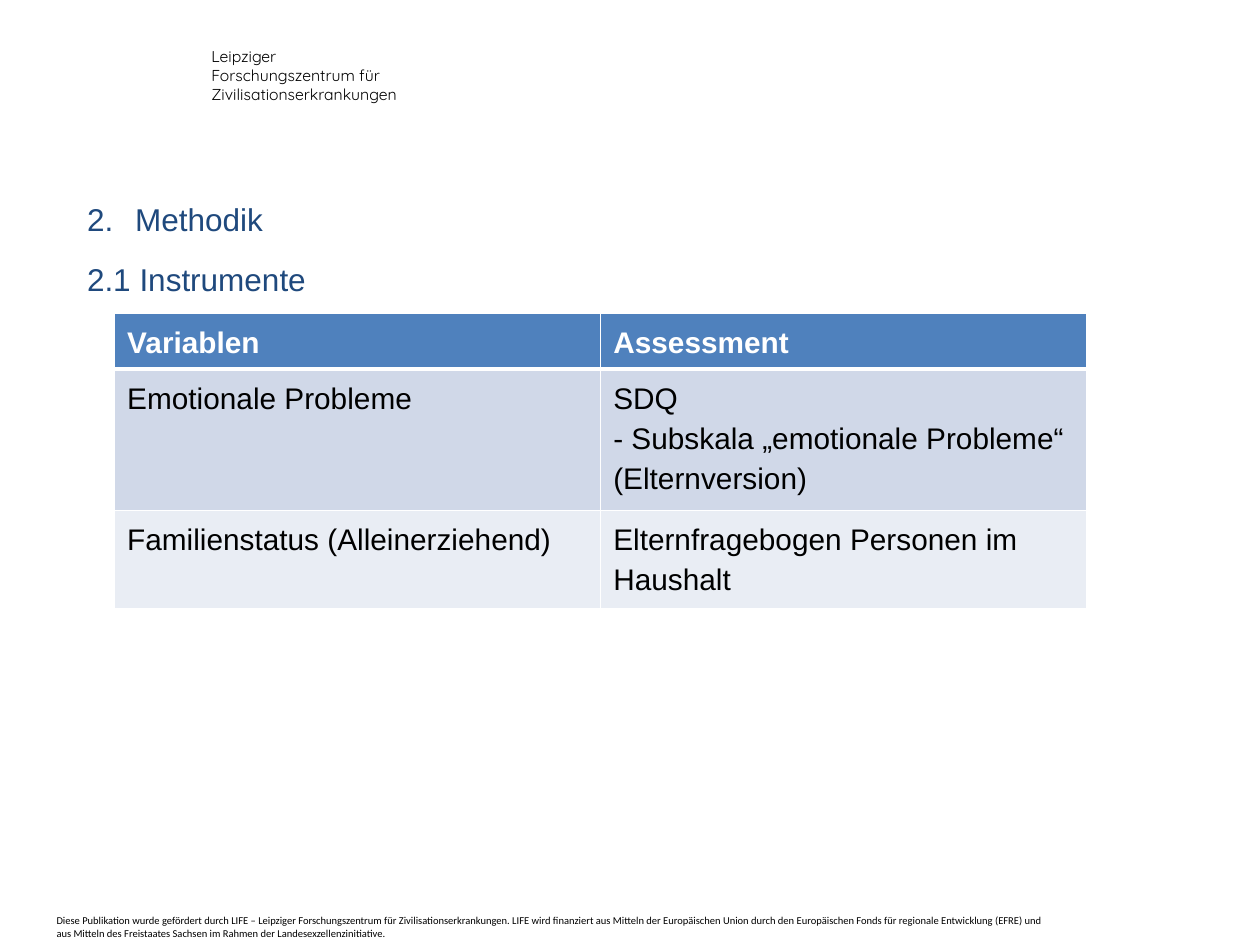
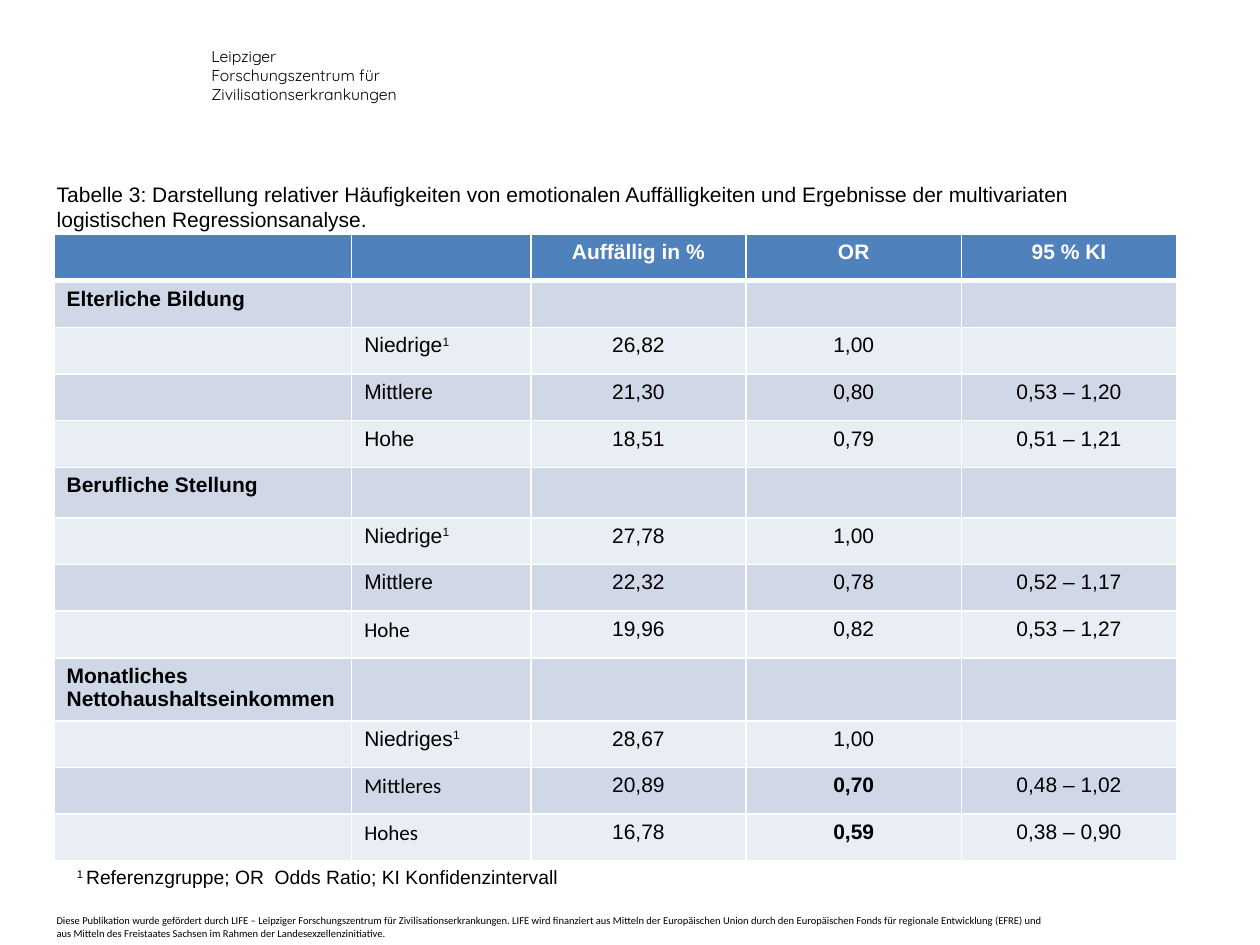
"""Build two slides on the methods and regression results of a family study."""
import copy

import pptx
import pptx.dml.color
import pptx.enum.text
import pptx.oxml
import pptx.oxml.ns
import pptx.util

Cm = pptx.util.Cm
Pt = pptx.util.Pt
RGBColor = pptx.dml.color.RGBColor
PP_ALIGN = pptx.enum.text.PP_ALIGN
qn = pptx.oxml.ns.qn

BLACK = RGBColor(0x00, 0x00, 0x00)
WHITE = RGBColor(0xFF, 0xFF, 0xFF)
NAVY = RGBColor(0x1F, 0x49, 0x7D)
HEADER_BLUE = RGBColor(0x4F, 0x81, 0xBD)
BAND_DARK = RGBColor(0xD0, 0xD8, 0xE8)
BAND_LIGHT = RGBColor(0xE9, 0xED, 0xF4)

INSTITUTE = "Leipziger Forschungszentrum für Zivilisationserkrankungen"
FUNDING = (
    "Diese Publikation wurde gefördert durch LIFE – Leipziger Forschungszentrum für "
    "Zivilisationserkrankungen. LIFE wird finanziert aus Mitteln der Europäischen Union durch den "
    "Europäischen Fonds für regionale Entwicklung (EFRE) und aus Mitteln des Freistaates Sachsen "
    "im Rahmen der Landesexzellenzinitiative."
)
HEADINGS = ["Methodik", "2.1 Instrumente"]
INSTRUMENTS = [
    ("Variablen", "Assessment"),
    ("Emotionale Probleme", "SDQ\v- Subskala „emotionale Probleme“\v(Elternversion)"),
    ("Familienstatus (Alleinerziehend)", "Elternfragebogen Personen im Haushalt"),
]
CAPTION = (
    "Tabelle 3: Darstellung relativer Häufigkeiten von emotionalen Auffälligkeiten und "
    "Ergebnisse der multivariaten logistischen Regressionsanalyse."
)
RESULTS = [
    ("", "", "Auffällig in %", "OR", "95 % KI"),
    ("Elterliche Bildung", "", "", "", ""),
    ("", "Niedrige^1", "26,82", "1,00", ""),
    ("", "Mittlere", "21,30", "0,80", "0,53 – 1,20"),
    ("", "Hohe", "18,51", "0,79", "0,51 – 1,21"),
    ("Berufliche Stellung", "", "", "", ""),
    ("", "Niedrige^1", "27,78", "1,00", ""),
    ("", "Mittlere", "22,32", "0,78", "0,52 – 1,17"),
    ("", "Hohe", "19,96", "0,82", "0,53 – 1,27"),
    ("Monatliches Nettohaushaltseinkommen", "", "", "", ""),
    ("", "Niedriges^1", "28,67", "1,00", ""),
    ("", "Mittleres", "20,89", "0,70", "0,48 – 1,02"),
    ("", "Hohes", "16,78", "0,59", "0,38 – 0,90"),
]
SIGNIFICANT_CELLS = {(11, 3), (12, 3)}
CALIBRI_CELLS = {(8, 1), (11, 1), (12, 1)}
FOOTNOTE = "^1 ^Referenzgruppe; OR  Odds Ratio; KI Konfidenzintervall"

INSTITUTE_BOX = (4.01, 0.81, 4.62, 1.02)
FUNDING_BOX = (0.89, 18.31, 20.4, 0.76)
HEADING_BOX = (1.5, 3.53, 20.4, 7.95)
CAPTION_BOX = (0.89, 3.53, 21.16, 1.27)
FOOTNOTE_BOX = (1.3, 17.32, 10.34, 1.04)
INSTRUMENT_COLUMNS = [9.8, 9.8]
INSTRUMENT_ROWS = [1.09, 2.84, 1.97]
RESULT_COLUMNS = [6, 3.61] + [4.34] * 3
RESULT_ROWS = [{5: 1.02, 9: 1.27}.get(row, 0.94) for row in range(len(RESULTS))]


def text_format(size, color=BLACK, name="Arial", bold=False):
    """Return the font values of a text."""
    return {"size": Pt(size), "name": name, "bold": bold}, color


def write(paragraph, text, style, **layout):
    """Write text into a paragraph; each ^ switches superscript on or off."""
    values, color = style
    for name, value in layout.items():
        setattr(paragraph, name, value)
    if not text:
        end = paragraph._p.get_or_add_endParaRPr()
        end.set("sz", str(int(values["size"].pt * 100)))
        return
    for part_number, part in enumerate(text.split("^")):
        for line_number, line in enumerate(part.split("\v")):
            if line_number:
                paragraph.add_line_break()
                line_break = paragraph._p.findall(qn("a:br"))[-1]
                line_break.append(copy.deepcopy(run._r.rPr))
            if not line:
                continue
            run = paragraph.add_run()
            run.text = line
            for name, value in values.items():
                setattr(run.font, name, value)
            run.font.color.rgb = color
            if part_number % 2:
                run._r.get_or_add_rPr().set("baseline", "30000")


def add_text(slide, box, text, style, wrap=True):
    """Add a text box with one paragraph."""
    frame = slide.shapes.add_textbox(*map(Cm, box)).text_frame
    frame.word_wrap = wrap
    write(frame.paragraphs[0], text, style)


def add_slide(presentation):
    """Add a title-only slide with the institute name and the funding note."""
    slide = presentation.slides.add_slide(presentation.slide_layouts[5])
    add_text(slide, INSTITUTE_BOX, INSTITUTE, text_format(9, name="Quicksand"))
    add_text(slide, FUNDING_BOX, FUNDING, text_format(6, name="Calibri"))
    return slide


def place_title(slide, box):
    """Place the title at the top left of its box and return its text frame."""
    title = slide.shapes.title
    title.left, title.top, title.width, title.height = map(Cm, box)
    frame = title.text_frame
    frame.word_wrap = True
    frame.auto_size = pptx.enum.text.MSO_AUTO_SIZE.NONE
    frame.vertical_anchor = pptx.enum.text.MSO_ANCHOR.TOP
    return frame


def number_paragraph(paragraph, start):
    """Give a paragraph a hanging automatic number."""
    properties = paragraph._p.get_or_add_pPr()
    properties.set("marL", str(Cm(0.97)))
    properties.set("indent", str(-Cm(0.97)))
    namespace = pptx.oxml.ns.nsdecls("a")
    for markup in (
        f'<a:buClr {namespace}><a:srgbClr val="{NAVY}"/></a:buClr>',
        f'<a:buFont {namespace} typeface="+mj-lt"/>',
        f'<a:buAutoNum {namespace} type="arabicPeriod" startAt="{start}"/>',
    ):
        properties.append(pptx.oxml.parse_xml(markup))


def paint_cell(cell, row):
    """Give a cell white borders and the fill of its row."""
    properties = cell._tc.get_or_add_tcPr()
    widths = {"L": 1, "R": 1, "T": 3 if row == 1 else 1, "B": 3 if row == 0 else 1}
    for side, width in widths.items():
        properties.append(pptx.oxml.parse_xml(
            f'<a:ln{side} {pptx.oxml.ns.nsdecls("a")} w="{Pt(width)}">'
            f'<a:solidFill><a:srgbClr val="{WHITE}"/></a:solidFill></a:ln{side}>'))
    cell.fill.solid()
    cell.fill.fore_color.rgb = HEADER_BLUE if row == 0 else BAND_DARK if row % 2 else BAND_LIGHT


def add_banded_table(slide, corner, widths, heights, content, style_of, layout_of):
    """Add a table whose text style and layout follow from row and column."""
    frame = slide.shapes.add_table(
        len(heights), len(widths), *map(Cm, (*corner, sum(widths), sum(heights))))
    table = frame.table
    for column, width in zip(table.columns, widths):
        column.width = Cm(width)
    for table_row, height in zip(table.rows, heights):
        table_row.height = Cm(height)
    for row, texts in enumerate(content):
        for column, text in enumerate(texts):
            cell = table.cell(row, column)
            paint_cell(cell, row)
            write(cell.text_frame.paragraphs[0], text, style_of(row, column), **layout_of(column))


def instrument_style(row, column):
    """Return the text style of a cell in the table of instruments."""
    return text_format(17, BLACK if row else WHITE, bold=row == 0)


def result_style(row, column):
    """Return the text style of a cell in the table of results."""
    bold = row == 0 or column == 0 or (row, column) in SIGNIFICANT_CELLS
    name = "Calibri" if (row, column) in CALIBRI_CELLS else "Arial"
    return text_format(12, BLACK if row else WHITE, name, bold)


def build_instruments(presentation):
    """Build the slide on the instruments."""
    slide = add_slide(presentation)
    frame = place_title(slide, HEADING_BOX)
    number_paragraph(frame.paragraphs[0], 2)
    layout = {"alignment": PP_ALIGN.LEFT, "line_spacing": 1.5}
    write(frame.paragraphs[0], HEADINGS[0], text_format(18, NAVY), **layout)
    write(frame.add_paragraph(), HEADINGS[1], text_format(18, NAVY), space_before=Pt(1.5), **layout)
    add_banded_table(slide, (2.31, 6.32), INSTRUMENT_COLUMNS, INSTRUMENT_ROWS, INSTRUMENTS,
                     instrument_style, lambda column: {"line_spacing": 1.2})


def build_results(presentation):
    """Build the slide on the regression results."""
    slide = add_slide(presentation)
    frame = place_title(slide, CAPTION_BOX)
    write(frame.paragraphs[0], CAPTION, text_format(12), alignment=PP_ALIGN.LEFT)
    add_banded_table(
        slide, (1.09, 4.72), RESULT_COLUMNS, RESULT_ROWS, RESULTS, result_style,
        lambda column: {"alignment": PP_ALIGN.CENTER if column > 1 else PP_ALIGN.LEFT})
    add_text(slide, FOOTNOTE_BOX, FOOTNOTE, text_format(11), wrap=False)


def main():
    """Build and save the presentation."""
    presentation = pptx.Presentation()
    presentation.slide_width, presentation.slide_height = Cm(25.4), Cm(19.05)
    build_instruments(presentation)
    build_results(presentation)
    presentation.save("out.pptx")


if __name__ == "__main__":
    main()
